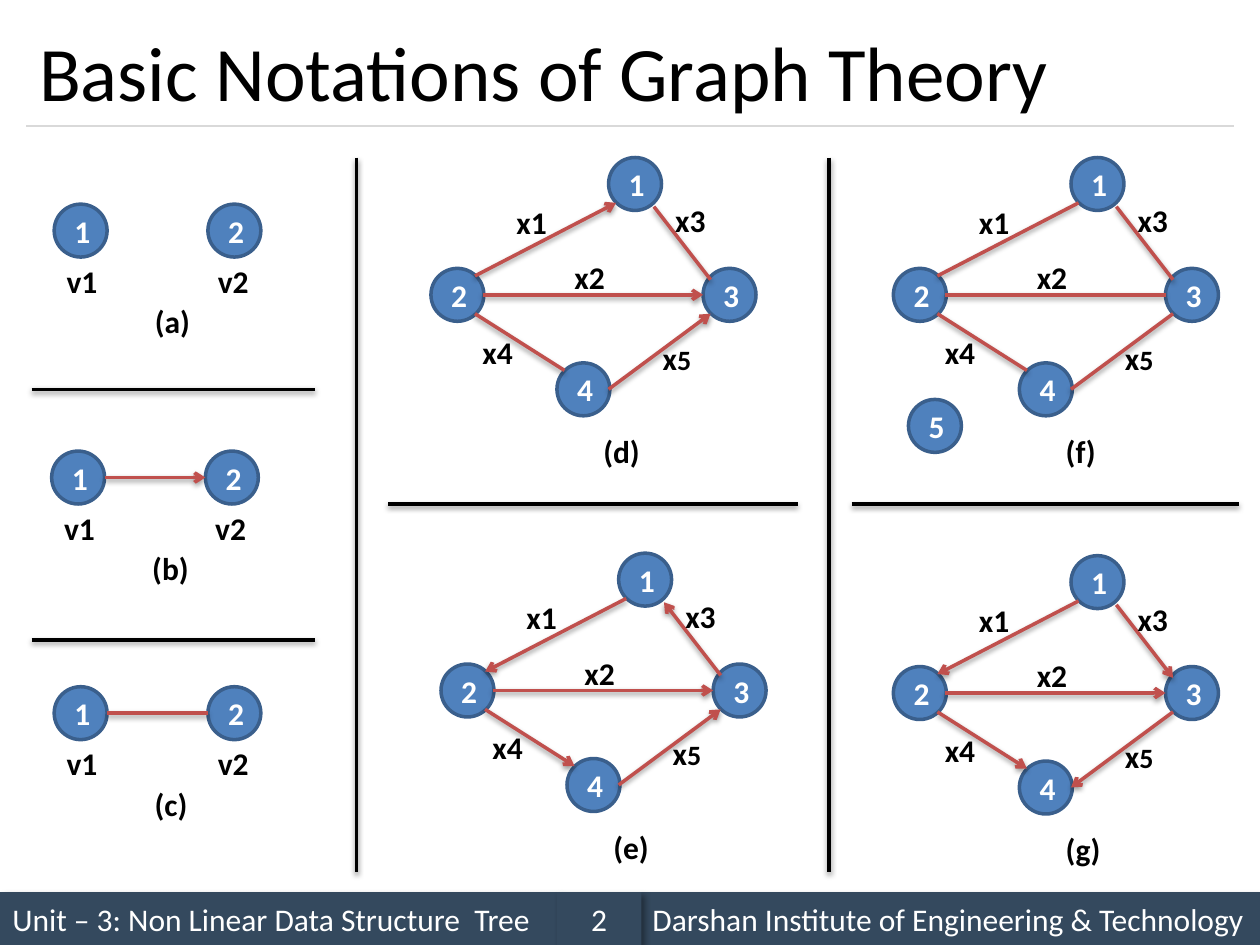
from dataclasses import dataclass

from lxml import etree
from pptx import Presentation
from pptx import util as u
from pptx.dml import color as dml
from pptx.enum import shapes, text
from pptx.oxml import ns

FONT = "Calibri"
BLACK, WHITE = "000000", "FFFFFF"
NODE_FILL, NODE_LINE = "4F81BD", "3A5F8C"
EDGE_COLOR, BAR_COLOR, RULE_COLOR = "C0504D", "34495E", "D9D9D9"
NODE_SIZE = 0.42


@dataclass
class Shadow:
    opacity: int
    blur: float
    distance: float
    angle: int


@dataclass
class Bar:
    left: float
    width: float
    words: str
    align: text.PP_ALIGN = text.PP_ALIGN.LEFT


@dataclass
class Edge:
    start: tuple[float, float]
    end: tuple[float, float]
    label: str
    label_at: tuple[float, float]


@dataclass
class Graph:
    caption: str
    caption_width: float
    dx: float
    dy: float
    arrows: str


@dataclass
class Pair:
    caption: str
    caption_width: float
    dx: float
    dy: float
    link: str = ""


BAR_SHADOW = Shadow(40, 4, 3, 45)
LINE_SHADOW = Shadow(38, 3.1, 1.6, 90)

BARS = [
    Bar(0, 4.42, "Unit – 3: Non Linear Data Structure  Tree"),
    Bar(5.08, 4.92, "Darshan Institute of Engineering & Technology"),
    Bar(4.42, 0.67, "2", text.PP_ALIGN.CENTER),
]
NODES = {"1": (4.83, 1.25), "2": (3.42, 2.13), "3": (5.58, 2.13), "4": (4.42, 2.88)}
EDGES = [
    Edge((3.77, 2.19), (4.89, 1.61), "x1", (4.0, 1.56)),
    Edge((3.83, 2.34), (5.58, 2.34), "x2", (4.46, 2.0)),
    Edge((5.19, 1.64), (5.64, 2.22), "x3", (5.26, 1.55)),
    Edge((3.77, 2.49), (4.48, 2.94), "x4", (3.73, 2.59)),
    Edge((4.83, 3.09), (5.64, 2.49), "x5", (5.16, 2.64)),
]
GRAPHS = [
    Graph("(d)", 0.5, 0, 0, ">>-->"),
    Graph("(g)", 0.49, 3.67, 3.16, "<>>><"),
    Graph("(f)", 0.45, 3.67, 0, "-----"),
    Graph("(e)", 0.5, 0.08, 3.14, "<><>>"),
]
PAIRS = [
    Pair("(a)", 0.49, 0, 0),
    Pair("(b)", 0.51, -0.02, 1.96, ">"),
    Pair("(c)", 0.47, 0, 3.83, "-"),
]
DIVIDERS = [
    ((2.83, 1.25), (2.83, 6.92)),
    ((6.58, 1.25), (6.58, 6.92)),
    ((0.25, 3.09), (2.5, 3.09)),
    ((0.25, 5.08), (2.5, 5.08)),
    ((3.08, 4), (6.33, 4)),
    ((6.76, 4), (9.83, 4)),
]


def rgb(value: str) -> dml.RGBColor:
    return dml.RGBColor.from_string(value)


def write(shape, words: str, *, size=18, color=BLACK, bold=False, align=text.PP_ALIGN.LEFT) -> None:
    para = shape.text_frame.paragraphs[0]
    para.alignment = align
    span = para.add_run()
    span.text = words
    span.font.name = FONT
    span.font.size = u.Pt(size)
    span.font.bold = bold
    span.font.color.rgb = rgb(color)


def set_effects(shape, shadow: Shadow | None) -> None:
    effects = etree.SubElement(shape._element.spPr, ns.qn("a:effectLst"))
    if shadow:
        outer = etree.SubElement(
            effects, ns.qn("a:outerShdw"), blurRad=str(u.Pt(shadow.blur)),
            dist=str(u.Pt(shadow.distance)), dir=str(shadow.angle * 60000),
            algn="tl", rotWithShape="0")
        tint = etree.SubElement(outer, ns.qn("a:srgbClr"), val=BLACK)
        etree.SubElement(tint, ns.qn("a:alpha"), val=str(shadow.opacity * 1000))


def draw_line(page, start, end, color: str, width=2.0, arrow="-", shadow: Shadow | None = LINE_SHADOW) -> None:
    line = page.shapes.add_connector(
        shapes.MSO_CONNECTOR.STRAIGHT, *(u.Inches(value) for value in (*start, *end)))
    line.line.color.rgb = rgb(color)
    line.line.width = u.Pt(width)
    if arrow in "<>":
        tip = "a:headEnd" if arrow == "<" else "a:tailEnd"
        etree.SubElement(line._element.spPr.find(ns.qn("a:ln")), ns.qn(tip), type="arrow")
    set_effects(line, shadow)


def draw_shape(page, kind, left: float, top: float, width: float, height: float,
               fill: str, outline: str | None = None, shadow: Shadow | None = None):
    shape = page.shapes.add_shape(kind, *(u.Inches(value) for value in (left, top, width, height)))
    shape.fill.solid()
    shape.fill.fore_color.rgb = rgb(fill)
    if outline:
        shape.line.color.rgb = rgb(outline)
        shape.line.width = u.Pt(2)
    else:
        shape.line.fill.background()
    set_effects(shape, shadow)
    shape.text_frame.vertical_anchor = text.MSO_ANCHOR.MIDDLE
    return shape


def draw_bar(page, bar: Bar) -> None:
    box = draw_shape(page, shapes.MSO_SHAPE.RECTANGLE, bar.left, 7.08, bar.width, 0.42,
                     BAR_COLOR, shadow=BAR_SHADOW)
    write(box, bar.words, color=WHITE, align=bar.align)


def draw_node(page, name: str, left: float, top: float) -> None:
    node = draw_shape(page, shapes.MSO_SHAPE.OVAL, left, top, NODE_SIZE, NODE_SIZE, NODE_FILL, NODE_LINE)
    write(node, name, color=WHITE, bold=True, align=text.PP_ALIGN.CENTER)


def draw_label(page, words: str, left: float, top: float, width=0.45) -> None:
    box = page.shapes.add_textbox(*(u.Inches(value) for value in (left, top, width, 0.4)))
    box.text_frame.word_wrap = False
    box.text_frame.auto_size = text.MSO_AUTO_SIZE.SHAPE_TO_FIT_TEXT
    if words == "x5":
        write(box, "x", bold=True)
        write(box, "5", size=16, bold=True)
    else:
        write(box, words, bold=True)


def draw_pair(page, pair: Pair) -> None:
    for name, node_left, label_left in (("1", 0.43, 0.43), ("2", 1.65, 1.63)):
        draw_node(page, name, node_left + pair.dx, 1.62 + pair.dy)
        draw_label(page, f"v{name}", label_left + pair.dx, 2.03 + pair.dy)
    draw_label(page, pair.caption, 1.13 + pair.dx, 2.35 + pair.dy, pair.caption_width)
    if pair.link:
        y = 1.83 + pair.dy
        draw_line(page, (0.85 + pair.dx, y), (1.65 + pair.dx, y), EDGE_COLOR, arrow=pair.link)


def draw_graph(page, graph: Graph) -> None:
    def shift(point: tuple[float, float]) -> tuple[float, float]:
        return point[0] + graph.dx, point[1] + graph.dy

    for name, point in NODES.items():
        draw_node(page, name, *shift(point))
    for edge, arrow in zip(EDGES, graph.arrows):
        draw_line(page, shift(edge.start), shift(edge.end), EDGE_COLOR, arrow=arrow)
    for edge in EDGES:
        draw_label(page, edge.label, *shift(edge.label_at))
    draw_label(page, graph.caption, *shift((4.69, 3.38)), graph.caption_width)


def main() -> None:
    deck = Presentation()
    deck.slide_width, deck.slide_height = u.Inches(10), u.Inches(7.5)
    page = deck.slides.add_slide(deck.slide_layouts[5])
    title = page.shapes.title
    title.left, title.top, title.width, title.height = (u.Inches(value) for value in (0.21, 0.12, 9.58, 0.88))
    title.text_frame.vertical_anchor = text.MSO_ANCHOR.MIDDLE
    write(title, "Basic Notations of Graph Theory", size=44)
    for bar in BARS:
        draw_bar(page, bar)
    draw_line(page, (0.21, 1), (9.79, 1), RULE_COLOR, width=0.75, shadow=None)
    for pair in PAIRS:
        draw_pair(page, pair)
    for graph in GRAPHS:
        draw_graph(page, graph)
    draw_node(page, "5", 7.21, 3.17)
    for start, end in DIVIDERS:
        draw_line(page, start, end, BLACK)
    deck.save("out.pptx")


if __name__ == "__main__":
    main()
